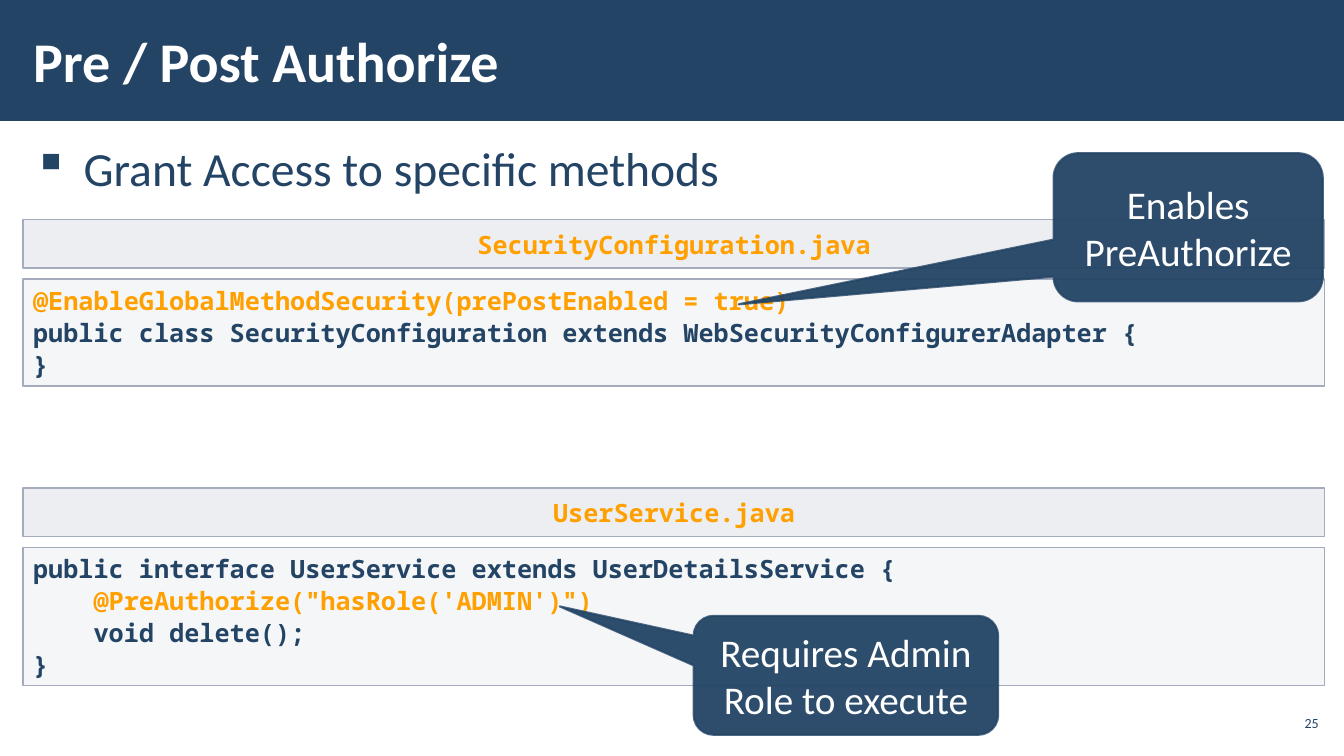
from lxml.etree import SubElement
from pptx import Presentation
from pptx.dml.color import RGBColor
from pptx.enum.shapes import MSO_SHAPE
from pptx.enum.text import MSO_ANCHOR, PP_ALIGN
from pptx.oxml.ns import qn
from pptx.util import Emu, Pt

PX = 9144  # EMU per px, 100 px to the inch
NAVY, ORANGE, WHITE = "234465", "FFA000", "FFFFFF"
PANEL, PANEL_EDGE = "C2C7D2", "A3ABBC"
SANS, MONO = "Calibri", "Noto Sans Mono"
PANEL_LEFT, PANEL_WIDTH = 23, 1291
HEADER_HEIGHT, HEADER_TO_CODE = 48, 59
CODE_INDENT = 60  # four monospaced characters


def px(length):
    return Emu(length * PX)


def paint(colour_format, colour):
    colour_format.rgb = RGBColor.from_string(colour)


def set_opacity(fill, percent):
    colour = fill._xPr.find(qn("a:solidFill"))[0]
    SubElement(colour, qn("a:alpha")).set("val", str(percent * 1000))


def style(paragraph, size, colour, font=SANS, bold=False):
    for run in paragraph.runs:
        run.font.size = Pt(size)
        run.font.name = font
        run.font.bold = bold
        paint(run.font.color, colour)


def set_frame(frame, side, edge, anchor):
    frame.word_wrap = True
    frame.vertical_anchor = anchor
    frame.margin_left = frame.margin_right = px(side)
    frame.margin_top = frame.margin_bottom = px(edge)


def add_label(slide, box, text, size, colour, side=12, anchor=MSO_ANCHOR.MIDDLE,
              align=PP_ALIGN.LEFT, bold=False):
    frame = slide.shapes.add_textbox(*map(px, box)).text_frame
    set_frame(frame, side, 4, anchor)
    paragraph = frame.paragraphs[0]
    paragraph.text = text
    paragraph.alignment = align
    style(paragraph, size, colour, bold=bold)
    return paragraph


def add_bullet(paragraph, indent):
    paragraph.line_spacing = 1.05
    paragraph.space_before = paragraph.space_after = Pt(6)
    properties = paragraph._p.get_or_add_pPr()
    properties.set("marL", str(px(indent)))
    properties.set("indent", str(px(-indent)))
    SubElement(properties, qn("a:buChar")).set("char", "▪")


def add_block(slide, kind, box, fill, opacity, edge, edge_width):
    block = slide.shapes.add_shape(kind, *map(px, box))
    block.shadow.inherit = False
    block.fill.solid()
    paint(block.fill.fore_color, fill)
    set_opacity(block.fill, opacity)
    block.line.width = Pt(edge_width)
    paint(block.line.color, edge)
    return block


def add_panel(slide, top, height, opacity, lines, edge, align):
    """Code panel; each line is (indent level, text, colour)."""
    panel = add_block(slide, MSO_SHAPE.RECTANGLE, (PANEL_LEFT, top, PANEL_WIDTH, height),
                      PANEL, opacity, PANEL_EDGE, 1)
    frame = panel.text_frame
    set_frame(frame, 10, edge, MSO_ANCHOR.TOP)
    frame.text = "\n".join(text for _, text, _ in lines)
    for paragraph, (level, _, colour) in zip(frame.paragraphs, lines):
        paragraph.alignment = align
        paragraph.line_spacing = 1.05
        if level:
            paragraph._p.get_or_add_pPr().set("marL", str(px(level * CODE_INDENT)))
        style(paragraph, 18, colour, MONO, bold=True)


def add_listing(slide, top, filename, height, lines):
    add_panel(slide, top + HEADER_TO_CODE, height, 15, lines, 5, PP_ALIGN.LEFT)
    add_panel(slide, top, HEADER_HEIGHT, 30, [(0, filename, ORANGE)], 8, PP_ALIGN.CENTER)


def add_callout(slide, box, pointer, text):
    callout = add_block(slide, MSO_SHAPE.ROUNDED_RECTANGULAR_CALLOUT, box, NAVY, 95, NAVY, 1.5)
    set_opacity(callout.line.fill, 80)
    for index, value in enumerate(pointer):
        callout.adjustments[index] = value
    set_frame(callout.text_frame, 10, 5, MSO_ANCHOR.MIDDLE)
    callout.text_frame.text = text
    paragraph = callout.text_frame.paragraphs[0]
    paragraph.alignment = PP_ALIGN.CENTER
    style(paragraph, 28, WHITE)


def main():
    deck = Presentation()
    deck.slide_width, deck.slide_height = px(1333), px(750)
    slide = deck.slides.add_slide(deck.slide_layouts[6])

    # Title band
    band = slide.shapes.add_shape(MSO_SHAPE.RECTANGLE, 0, 0, px(1333), px(120))
    band.shadow.inherit = False
    band.fill.solid()
    paint(band.fill.fore_color, NAVY)
    band.line.fill.background()
    add_label(slide, (21, 11, 1040, 97), "Pre / Post Authorize", 40, WHITE, bold=True)

    # Bullet and page number
    topic = add_label(slide, (21, 131, 1292, 569), "Grant Access to specific methods",
                      34, NAVY, anchor=MSO_ANCHOR.TOP)
    add_bullet(topic, 50)
    add_label(slide, (1265, 700, 47, 34), "25", 10, NAVY, side=4, align=PP_ALIGN.RIGHT)

    # Code listings
    add_listing(slide, 218, "SecurityConfiguration.java", 106, [
        (0, "@EnableGlobalMethodSecurity(prePostEnabled = true)", ORANGE),
        (0, "public class SecurityConfiguration extends WebSecurityConfigurerAdapter {", NAVY),
        (0, "}", NAVY),
    ])
    add_listing(slide, 484, "UserService.java", 137, [
        (0, "public interface UserService extends UserDetailsService {", NAVY),
        (1, "@PreAuthorize(\"hasRole('ADMIN')\")", ORANGE),
        (1, "void delete();", NAVY),
        (0, "}", NAVY),
    ])

    # Callouts
    add_callout(slide, (1045, 152, 267, 147), (-1.67, 0.52), "Enables PreAuthorize")
    add_callout(slide, (688, 611, 302, 118), (-0.94, -0.58), "Requires Admin Role to execute")

    deck.save("out.pptx")


if __name__ == "__main__":
    main()
